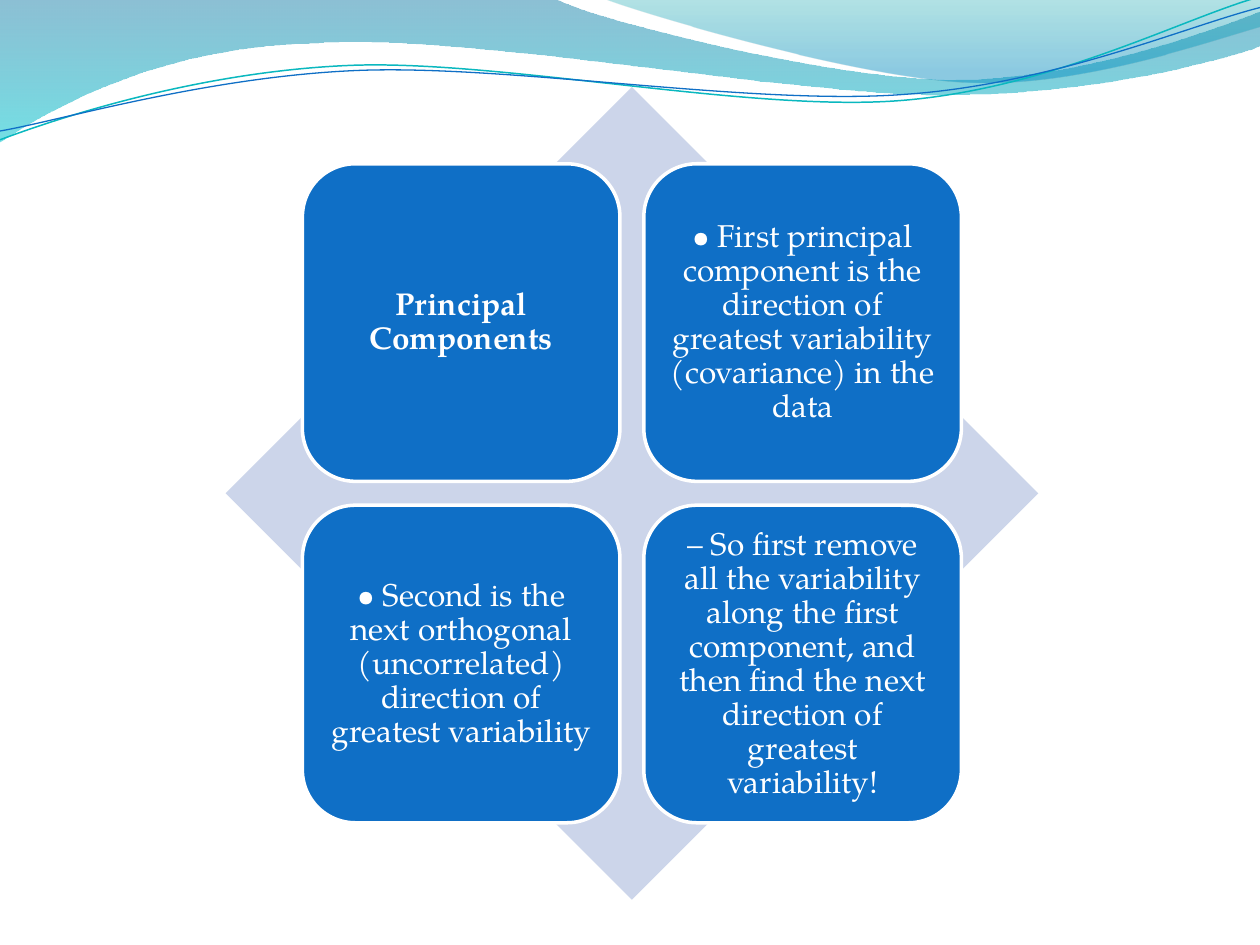
from lxml import etree
from pptx import Presentation
from pptx import util as u
from pptx.dml.color import RGBColor
from pptx.enum import shapes, text
from pptx.oxml import ns

WHITE = RGBColor(0xFF, 0xFF, 0xFF)
BLUE = RGBColor(0x0F, 0x6F, 0xC6)
PALE = RGBColor(0xCC, 0xD5, 0xEA)
TEAL = RGBColor(0x0A, 0xB8, 0xBF)
WAVE_TOP = RGBColor(0x00, 0x74, 0xA1)
WAVE_BOTTOM = RGBColor(0x00, 0xC6, 0xCF)
CREST_TOP = RGBColor(0x00, 0xA1, 0xA9)
CREST_BOTTOM = RGBColor(0x00, 0x8B, 0xBF)
FONT = "TeX Gyre Pagella"

WAVE = [(0, 0), (4.4, -0.01),
        (4.76, 0.17, 6.64, 0.63, 7.58, 0.63), (8.53, 0.63, 9.58, 0.26, 10, 0.09),
        (10.01, 0.36),
        (9.83, 0.44, 8.7, 0.76, 7.46, 0.75), (6.22, 0.75, 3.82, 0.28, 2.57, 0.34),
        (1.29, 0.36, 0.46, 0.83, -0.01, 1.13)]
CREST = [(4.79, -0.01),
         (5.09, 0.11, 6.82, 0.62, 7.69, 0.65), (8.56, 0.69, 9.61, 0.32, 10, 0.21),
         (10, 0)]
TEAL_LINE = [(0, 1.11), (0.48, 0.93, 1.58, 0.57, 2.77, 0.52),
             (3.95, 0.47, 5.93, 0.89, 7.13, 0.8), (8.33, 0.71, 9.38, 0.15, 9.98, -0.02)]
BLUE_LINE = [(0, 1.04), (0.47, 0.96, 1.64, 0.61, 2.83, 0.56),
             (4.03, 0.51, 5.97, 0.84, 7.17, 0.75), (8.36, 0.67, 9.41, 0.21, 10, 0.06)]

CARDS = [
    ("Principal Components", True),
    ("• First principal component is the direction of greatest variability "
     "(covariance) in the data", False),
    ("• Second is the next orthogonal (uncorrelated) direction of greatest "
     "variability", False),
    ("– So first remove all the variability along the first component, and then "
     "find the next direction of greatest variability!", False),
]
CARD_LEFT, CARD_TOP, CARD_SIZE, CARD_PITCH = 2.4, 1.3, 2.52, 2.71


def bend_segments(outline, segments):
    steps = iter(list(outline._element.iter(ns.qn("a:lnTo"))))
    for segment in segments[1:]:
        step = next(steps)
        if len(segment) == 2:
            continue
        step.tag = ns.qn("a:cubicBezTo")
        for _ in range(2):
            extra = next(steps)
            step.append(extra[0])
            extra.getparent().remove(extra)


def add_outline(page, segments, close):
    points = [(u.Inches(x), u.Inches(y)) for segment in segments
              for x, y in zip(segment[::2], segment[1::2])]
    builder = page.shapes.build_freeform(*points[0], scale=1.0)
    builder.add_line_segments(points[1:], close=close)
    outline = builder.convert_to_shape()
    outline.shadow.inherit = False
    bend_segments(outline, segments)
    return outline


def add_gradient_area(page, segments, stops):
    area = add_outline(page, segments, True)
    area.line.fill.background()
    area.fill.gradient()
    area.fill.gradient_angle = 270
    for stop, (position, color, opacity) in zip(area.fill.gradient_stops, stops):
        stop.position = position
        stop.color.rgb = color
    colors = area._element.spPr.iter(ns.qn("a:srgbClr"))
    for node, (position, color, opacity) in zip(colors, stops):
        etree.SubElement(node, ns.qn("a:alpha"), val=str(opacity * 1000))


def add_curve(page, segments, color, width):
    curve = add_outline(page, segments, False)
    curve.fill.background()
    curve.line.color.rgb = color
    curve.line.width = u.Pt(width)


def add_box(page, kind, left, top, size, fill, line=None):
    box = page.shapes.add_shape(kind, u.Inches(left), u.Inches(top),
                                u.Inches(size), u.Inches(size))
    box.shadow.inherit = False
    box.fill.solid()
    box.fill.fore_color.rgb = fill
    if line is None:
        box.line.fill.background()
    else:
        box.line.color.rgb = line
        box.line.width = u.Pt(2)
    return box


def write_text(box, words, size=18, color=WHITE, bold=False, inset=0.08):
    frame = box.text_frame
    frame.word_wrap = True
    frame.vertical_anchor = text.MSO_ANCHOR.MIDDLE
    frame.margin_left = frame.margin_right = u.Inches(inset)
    frame.margin_top = frame.margin_bottom = u.Inches(inset)
    para = frame.paragraphs[0]
    para.alignment = text.PP_ALIGN.CENTER
    para.line_spacing = 0.9
    span = para.add_run()
    span.text = words
    span.font.name = FONT
    span.font.size = u.Pt(size)
    span.font.bold = bold
    span.font.color.rgb = color


def add_cards(page):
    for index, (words, bold) in enumerate(CARDS):
        row, column = divmod(index, 2)
        card = add_box(page, shapes.MSO_SHAPE.ROUNDED_RECTANGLE,
                       CARD_LEFT + column * CARD_PITCH, CARD_TOP + row * CARD_PITCH,
                       CARD_SIZE, BLUE, line=WHITE)
        write_text(card, words, bold=bold)


def main():
    deck = Presentation()
    deck.slide_width, deck.slide_height = u.Inches(10), u.Inches(7.5)
    page = deck.slides.add_slide(deck.slide_layouts[6])
    add_gradient_area(page, WAVE, [(0, WAVE_TOP, 45), (1, WAVE_BOTTOM, 55)])
    add_gradient_area(page, CREST, [(0, CREST_TOP, 30), (0.8, CREST_BOTTOM, 45)])
    add_curve(page, TEAL_LINE, TEAL, 0.85)
    add_curve(page, BLUE_LINE, BLUE, 0.75)
    add_box(page, shapes.MSO_SHAPE.DIAMOND, 1.79, 0.69, 6.45, PALE)
    add_cards(page)
    deck.save("out.pptx")


main()
